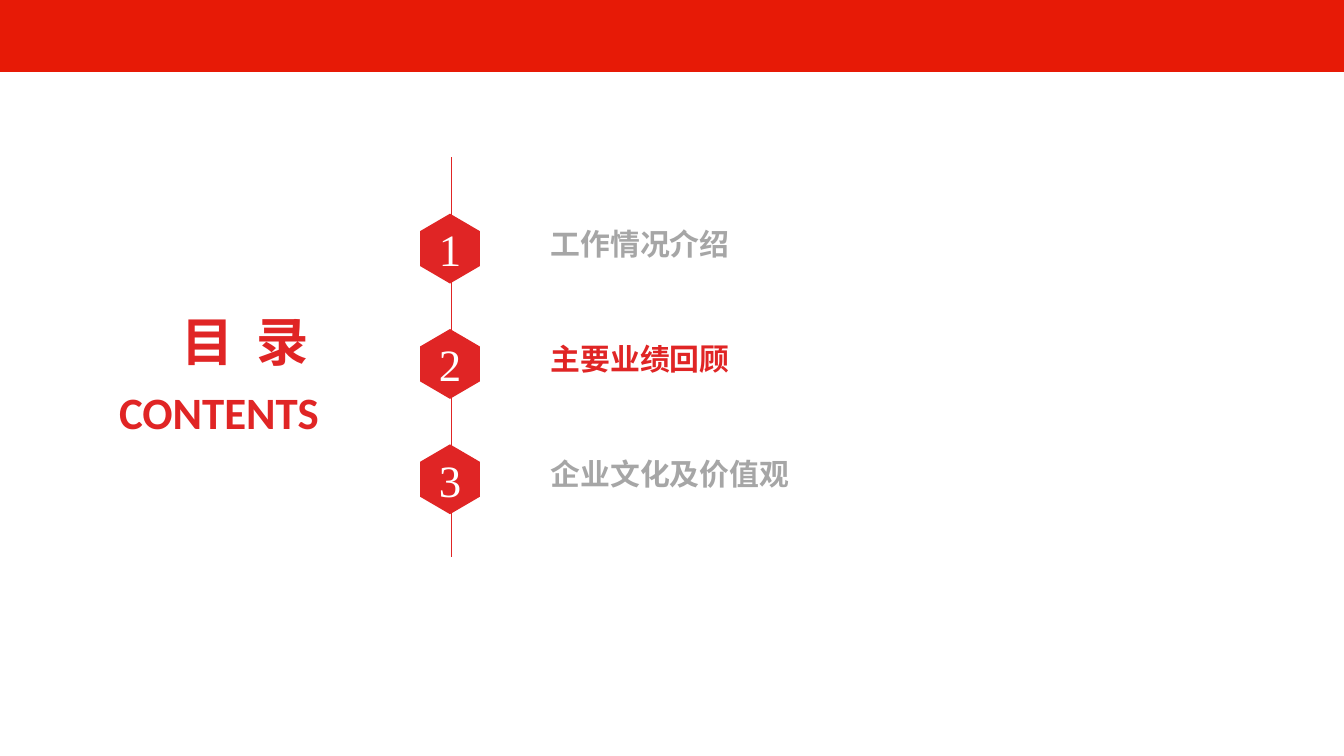
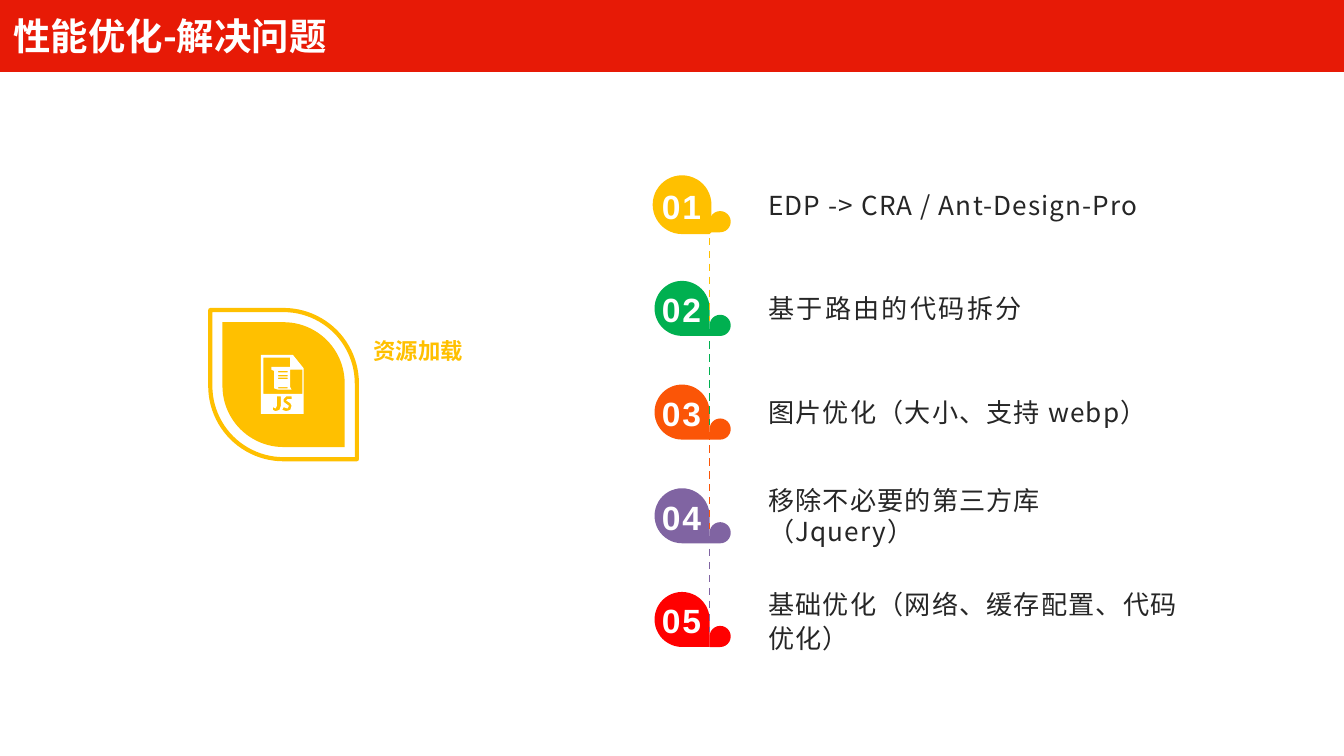
from dataclasses import dataclass

from lxml import etree
from pptx import Presentation
from pptx.dml.color import RGBColor
from pptx.enum.dml import MSO_LINE
from pptx.enum.shapes import MSO_CONNECTOR, MSO_SHAPE
from pptx.enum.text import MSO_ANCHOR, MSO_AUTO_SIZE, PP_ALIGN
from pptx.oxml.ns import qn
from pptx.util import Cm, Pt

STRAIGHT = MSO_CONNECTOR.STRAIGHT
RECTANGLE, TEAR = MSO_SHAPE.RECTANGLE, MSO_SHAPE.TEAR
LEAF = MSO_SHAPE.ROUND_2_DIAG_RECTANGLE
TOP, MIDDLE = MSO_ANCHOR.TOP, MSO_ANCHOR.MIDDLE
LEFT, CENTER = PP_ALIGN.LEFT, PP_ALIGN.CENTER
DASH = MSO_LINE.DASH
NO_FIT = MSO_AUTO_SIZE.NONE
TITLE_ONLY = 5


@dataclass(frozen=True)
class Theme:
    band: str = "E71A06"
    accent: str = "E02525"
    muted: str = "A6A6A6"
    ink: str = "262626"
    white: str = "FFFFFF"
    amber: str = "FFC000"
    green: str = "00B050"
    orange: str = "FB5507"
    purple: str = "8064A2"
    red: str = "FF0000"
    sans: str = "Noto Sans CJK SC"
    latin: str = "Calibri"
    serif: str = "Times New Roman"
    number: str = "Arial"
    contents: int = 28
    subtitle: int = 24
    heading: int = 20
    badge: int = 18
    chapter: int = 16
    body: int = 14
    caption: int = 12


THEME = Theme()

# Content
CONTENTS_TITLE, CONTENTS_SUBTITLE = "目 录", "CONTENTS"
CHAPTERS = ["工作情况介绍", "主要业绩回顾", "企业文化及价值观"]
CURRENT_CHAPTER = 2

STEPS_TITLE = "性能优化-解决问题"
TOPIC = "资源加载"
STEPS = [  # text, colour, letter spacing, line spacing
    ("EDP -> CRA / Ant-Design-Pro", THEME.amber, 0.6, 1),
    ("基于路由的代码拆分", THEME.green, 1.2, 1),
    ("图片优化（大小、支持 webp）", THEME.orange, 0.6, 1),
    ("移除不必要的第三方库（Jquery）", THEME.purple, 0.6, 1),
    ("基础优化（网络、缓存配置、代码优化）", THEME.red, 0.6, 1.1),
]

# Script-file icon on a grid 32 units wide
ICON_GRID = 32
SHEET = [(0, 0), (24, 0), (32, 10), (32, 44), (0, 44)]
WINDOW = [(2, 2), (22, 2), (22, 11), (31, 11), (31, 29), (2, 29)]
SCROLL = [(8, 9), (22, 9), (22, 24), (23, 26), (13, 26), (10, 25), (10, 12), (8, 11)]
SCROLL_LINES = [[(13, y), (20, y), (20, y + 1), (13, y + 1)] for y in (12, 15, 17, 24)]
LETTER_J = [(12, 31), (15, 31), (15, 38), (14, 41), (11, 42), (9, 41), (9, 39),
            (11, 40), (12, 38)]
LETTER_S = [(23, 31), (19, 31), (17, 33), (17, 35), (21, 38), (20, 40), (17, 39),
            (16, 41), (19, 42), (22, 41), (23, 38), (22, 36), (19, 34), (20, 33), (23, 33)]
ICON = [SHEET, WINDOW, SCROLL, *SCROLL_LINES, LETTER_J, LETTER_S]


def rgb(value):
    return RGBColor.from_string(value)


def paint(shape, fill=None, line=None, weight=1):
    shape.shadow.inherit = False
    if fill:
        shape.fill.solid()
        shape.fill.fore_color.rgb = rgb(fill)
    else:
        shape.fill.background()
    if line:
        shape.line.color.rgb = rgb(line)
        shape.line.width = Pt(weight)
    else:
        shape.line.fill.background()
    return shape


def add_preset(page, kind, left, top, width, height, rotation=0, **colours):
    shape = page.shapes.add_shape(kind, Cm(left), Cm(top), Cm(width), Cm(height))
    shape.rotation = rotation
    return paint(shape, **colours)


def add_outline(page, contours, left, top, unit, fill):
    """Draw closed contours, given in units from left and top, as one shape."""
    builder = None
    for contour in contours:
        first, *rest = [(Cm(left + x * unit), Cm(top + y * unit)) for x, y in contour]
        if builder is None:
            builder = page.shapes.build_freeform(*first)
        else:
            builder.move_to(*first)
        builder.add_line_segments(rest, close=True)
    return paint(builder.convert_to_shape(), fill=fill)


def add_line(page, x, top, bottom, colour, weight, dash=None):
    line = page.shapes.add_connector(STRAIGHT, Cm(x), Cm(top), Cm(x), Cm(bottom))
    line.line.color.rgb = rgb(colour)
    line.line.width = Pt(weight)
    if dash:
        line.line.dash_style = dash
    etree.SubElement(line.element.spPr, qn("a:effectLst"))


def write(shape, text, size, colour, font=THEME.sans, bold=False, align=LEFT,
          anchor=MIDDLE, insets=None, spacing=0, line_spacing=None, after=None):
    """Fill a shape with one formatted paragraph; insets are (sides, ends) in cm."""
    frame = shape.text_frame
    frame.word_wrap = True
    frame.auto_size = NO_FIT
    frame.vertical_anchor = anchor
    if insets:
        frame.margin_left = frame.margin_right = Cm(insets[0])
        frame.margin_top = frame.margin_bottom = Cm(insets[1])
    para = frame.paragraphs[0]
    para.alignment = align
    para.space_before = Pt(0)
    if line_spacing:
        para.line_spacing = line_spacing
    if after:
        para.space_after = Pt(after)
    span = para.add_run()
    span.text = text
    span.font.size = Pt(size)
    span.font.bold = bold
    span.font.color.rgb = rgb(colour)
    span.font.name = font
    properties = span.font._element
    etree.SubElement(properties, qn("a:ea")).set("typeface", font)
    if spacing:
        properties.set("spc", str(round(spacing * 100)))


def add_text(page, text, left, top, width, height, **style):
    box = page.shapes.add_textbox(Cm(left), Cm(top), Cm(width), Cm(height))
    write(box, text, **style)


def start_page(deck, title, left, top, width, height, **style):
    """Add a page with the red band behind a placed title."""
    page = deck.slides.add_slide(deck.slide_layouts[TITLE_ONLY])
    heading = page.shapes.title
    heading.left, heading.top = Cm(left), Cm(top)
    heading.width, heading.height = Cm(width), Cm(height)
    write(heading, title, bold=True, **style)
    band = add_preset(page, RECTANGLE, 0, 0, 25.4, 1.36, fill=THEME.band)
    heading.element.addprevious(band.element)
    return page


def build_contents(deck):
    page = start_page(deck, CONTENTS_TITLE, 3.17, 5.72, 3.53, 1.45, size=THEME.contents,
                      colour=THEME.accent, anchor=TOP, spacing=3.1)
    add_text(page, CONTENTS_SUBTITLE, 2, 7.14, 5.2, 1.27, size=THEME.subtitle,
             colour=THEME.accent, font=THEME.latin, bold=True, anchor=TOP)
    add_line(page, 8.53, 2.97, 10.52, THEME.accent, 0.75)

    width, height, shoulder = 1.13, 1.32, 0.33
    hexagon = [(width / 2, 0), (width, shoulder), (width, height - shoulder),
               (width / 2, height), (0, height - shoulder), (0, shoulder)]
    first_top, step = 4.04, 2.18
    for number, chapter in enumerate(CHAPTERS, start=1):
        top = first_top + (number - 1) * step
        marker = add_outline(page, [hexagon], 7.94, top, 1, THEME.accent)
        write(marker, str(number), size=THEME.subtitle, colour=THEME.white,
              font=THEME.serif, align=CENTER)
        colour = THEME.accent if number == CURRENT_CHAPTER else THEME.muted
        add_text(page, chapter, 10.16, top, 10.1, 1.12, size=THEME.chapter,
                 colour=colour, bold=True)


def build_topic(page):
    center_x, center_y = 5.36, 7.27
    leaves = [(2.82, 2.77, {"line": THEME.amber, "weight": 2.25}),
              (2.36, 2.31, {"fill": THEME.amber})]
    for width, height, colours in leaves:
        leaf = add_preset(page, LEAF, center_x - width / 2, center_y - height / 2,
                          width, height, rotation=270, **colours)
        leaf.adjustments[0], leaf.adjustments[1] = 0.5, 0
    add_outline(page, ICON, 4.93, 6.71, 0.81 / ICON_GRID, THEME.white)
    add_text(page, TOPIC, 6.73, 6.25, 5.97, 0.74, size=THEME.caption,
             colour=THEME.amber, bold=True, insets=(0.33, 0.18))


def build_steps(deck):
    page = start_page(deck, STEPS_TITLE, 0, -0.1, 18.06, 1.55, size=THEME.heading,
                      colour=THEME.white)
    build_topic(page)

    left, first_top, step = 12.37, 3.35, 1.96
    drop, bud = 1.04, 0.4
    stem = left + drop
    tops = [first_top + index * step for index in range(len(STEPS))]
    for index, (top, (text, colour, spacing, line_spacing)) in enumerate(zip(tops, STEPS)):
        rim = colour if index == 0 else None
        add_preset(page, TEAR, left, top, drop, drop, rotation=90,
                   fill=colour, line=rim, weight=2)
        add_preset(page, TEAR, stem, top + drop - bud, bud, bud, rotation=180, fill=colour)
        add_text(page, text, 14.27, top - 0.28, 8.41, 1.6, size=THEME.body,
                 colour=THEME.ink, spacing=spacing, line_spacing=line_spacing, after=8)
    for top, (_, colour, *_) in zip(tops[:-1], STEPS):
        add_line(page, stem, top + 0.9, top + 2.72, colour, 1, DASH)
    for number, top in enumerate(tops, start=1):
        add_text(page, f"{number:02}", left + 0.1, top + 0.13, 0.82, 0.82,
                 size=THEME.badge, colour=THEME.white, font=THEME.number, bold=True,
                 align=CENTER, insets=(0, 0), spacing=1, after=8)


def main():
    deck = Presentation()
    deck.slide_width, deck.slide_height = Cm(25.4), Cm(14.29)
    build_contents(deck)
    build_steps(deck)
    deck.save("out.pptx")


if __name__ == "__main__":
    main()
